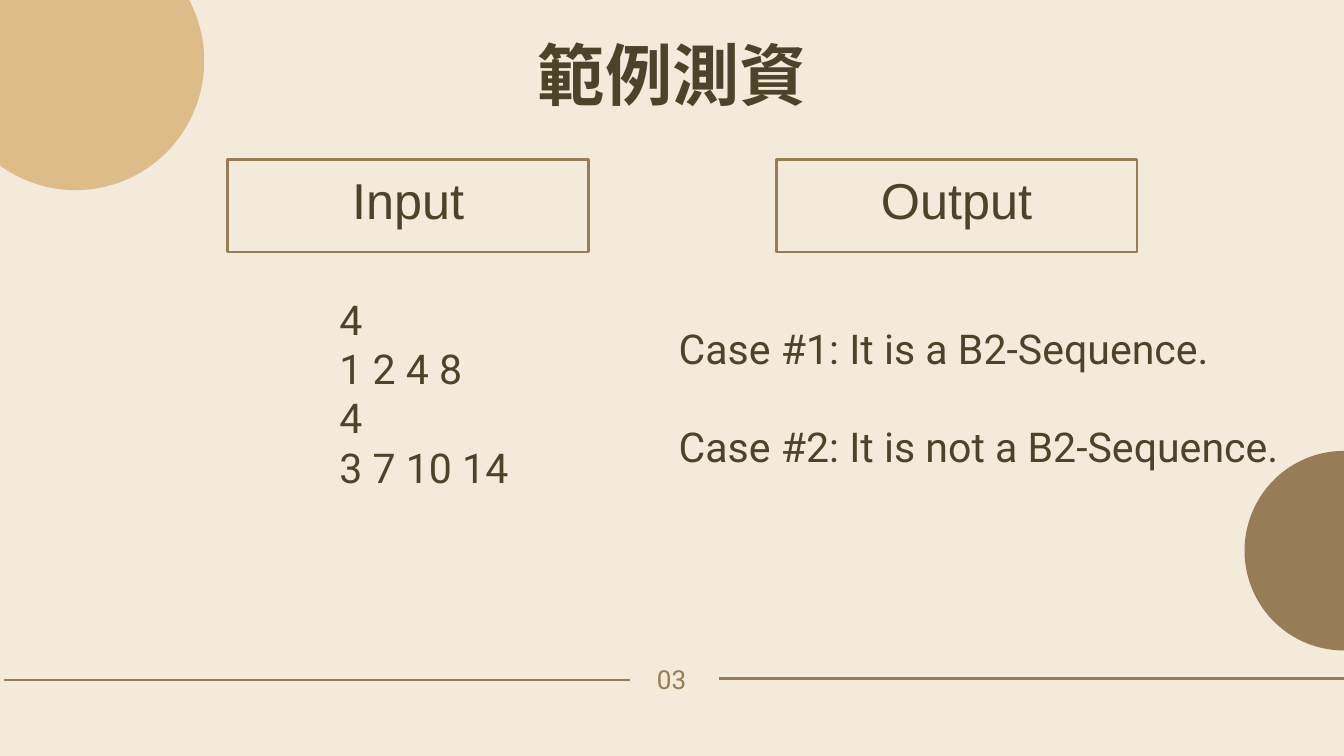
from dataclasses import dataclass

from lxml import etree
from pptx import Presentation
from pptx.dml.color import RGBColor
from pptx.enum.shapes import MSO_CONNECTOR, MSO_SHAPE
from pptx.enum.text import MSO_ANCHOR, MSO_AUTO_SIZE, PP_ALIGN
from pptx.oxml.ns import qn
from pptx.util import Inches, Pt

STRAIGHT = MSO_CONNECTOR.STRAIGHT
RECTANGLE, OVAL = MSO_SHAPE.RECTANGLE, MSO_SHAPE.OVAL
LEFT, CENTER = PP_ALIGN.LEFT, PP_ALIGN.CENTER
TOP, NO_FIT = MSO_ANCHOR.TOP, MSO_AUTO_SIZE.NONE


@dataclass(frozen=True)
class Theme:
    cream: RGBColor = RGBColor(0xF4, 0xEA, 0xDB)
    brown: RGBColor = RGBColor(0x96, 0x7D, 0x55)
    tan: RGBColor = RGBColor(0xDD, 0xBC, 0x8A)
    ink: RGBColor = RGBColor(0x4A, 0x45, 0x2A)
    title_font: str = "Noto Sans CJK SC"
    label_font: str = "Arial"
    body_font: str = "Roboto"
    title_size: Pt = Pt(72)
    label_size: Pt = Pt(54)
    body_size: Pt = Pt(44)
    page_size: Pt = Pt(28)
    stroke: Pt = Pt(3)


theme = Theme()


def place(shape, left, top, width, height):
    shape.left, shape.top = Inches(left), Inches(top)
    shape.width, shape.height = Inches(width), Inches(height)


def write(shape, lines, font, size, color, align=CENTER, spacing=1.0, gap=Pt(0), bold=False):
    frame = shape.text_frame
    frame.word_wrap, frame.auto_size, frame.vertical_anchor = True, NO_FIT, TOP
    frame.margin_left = frame.margin_right = frame.margin_top = frame.margin_bottom = 0
    frame.text = "\n".join(lines)
    for number, paragraph in enumerate(frame.paragraphs):
        paragraph.alignment, paragraph.line_spacing = align, spacing
        paragraph.space_before = gap if number else Pt(0)
        properties = paragraph._p.get_or_add_pPr()
        properties.set("marL", "0")
        properties.set("indent", "0")
        etree.SubElement(properties, qn("a:buNone"))
        paragraph.font.name, paragraph.font.size = font, size
        paragraph.font.bold, paragraph.font.color.rgb = bold, color
        # East Asian glyphs take their own typeface
        defaults = properties.find(qn("a:defRPr"))
        etree.SubElement(defaults, qn("a:ea")).set("typeface", font)


prs = Presentation()
prs.slide_width, prs.slide_height = Inches(20), Inches(11.25)
slide = prs.slides.add_slide(prs.slide_layouts.get_by_name("Two Content"))
slide.background.fill.solid()
slide.background.fill.fore_color.rgb = theme.cream
title, sample_input, sample_output = list(slide.placeholders)[:3]

# Corner circles
for left, top, width, height, color in (
    (18.52, 6.71, 2.96, 2.97, theme.brown),
    (-0.79, -1.02, 3.83, 3.85, theme.tan),
):
    circle = slide.shapes.add_shape(OVAL, Inches(left), Inches(top), Inches(width), Inches(height))
    circle.shadow.inherit = False
    circle.fill.solid()
    circle.fill.fore_color.rgb = color
    circle.line.fill.background()

# Footer rules and page number
for start, end, y in ((0.06, 9.37, 10.12), (10.7, 20, 10.1)):
    rule = slide.shapes.add_connector(STRAIGHT, Inches(start), Inches(y), Inches(end), Inches(y))
    rule.line.color.rgb, rule.line.width = theme.brown, theme.stroke
    etree.SubElement(rule._element.spPr, qn("a:effectLst"))

page_number = slide.shapes.add_textbox(Inches(9.07), Inches(9.95), Inches(1.85), Inches(0.39))
write(page_number, ["03"], theme.body_font, theme.page_size, theme.brown, spacing=Pt(28))

# Title
place(title, 4.72, 0.49, 10.57, 1.21)
write(title, ["範例測資"], theme.title_font, theme.title_size, theme.ink, spacing=Pt(86.4), bold=True)

# Framed column headings
for heading, left in (("Input", 3.39), ("Output", 11.55)):
    border = slide.shapes.add_shape(RECTANGLE, Inches(left), Inches(2.37), Inches(5.37), Inches(1.38))
    border.shadow.inherit = False
    border.fill.background()
    border.line.color.rgb, border.line.width = theme.brown, theme.stroke
    label = slide.shapes.add_textbox(Inches(left + 0.85), Inches(2.92), Inches(3.67), Inches(0.59))
    write(label, [heading], theme.label_font, theme.label_size, theme.ink, spacing=Pt(36))

# Sample data
place(sample_input, 5.05, 4.38, 2.78, 2.96)
write(sample_input, ["4", "1 2 4 8", "4", "3 7 10 14"],
      theme.body_font, theme.body_size, theme.ink, LEFT)
place(sample_output, 10.1, 4.81, 9.66, 2.22)
write(sample_output, ["Case #1: It is a B2-Sequence.", "Case #2: It is not a B2-Sequence."],
      theme.body_font, theme.body_size, theme.ink, LEFT, gap=Pt(52.5))

prs.save("out.pptx")
